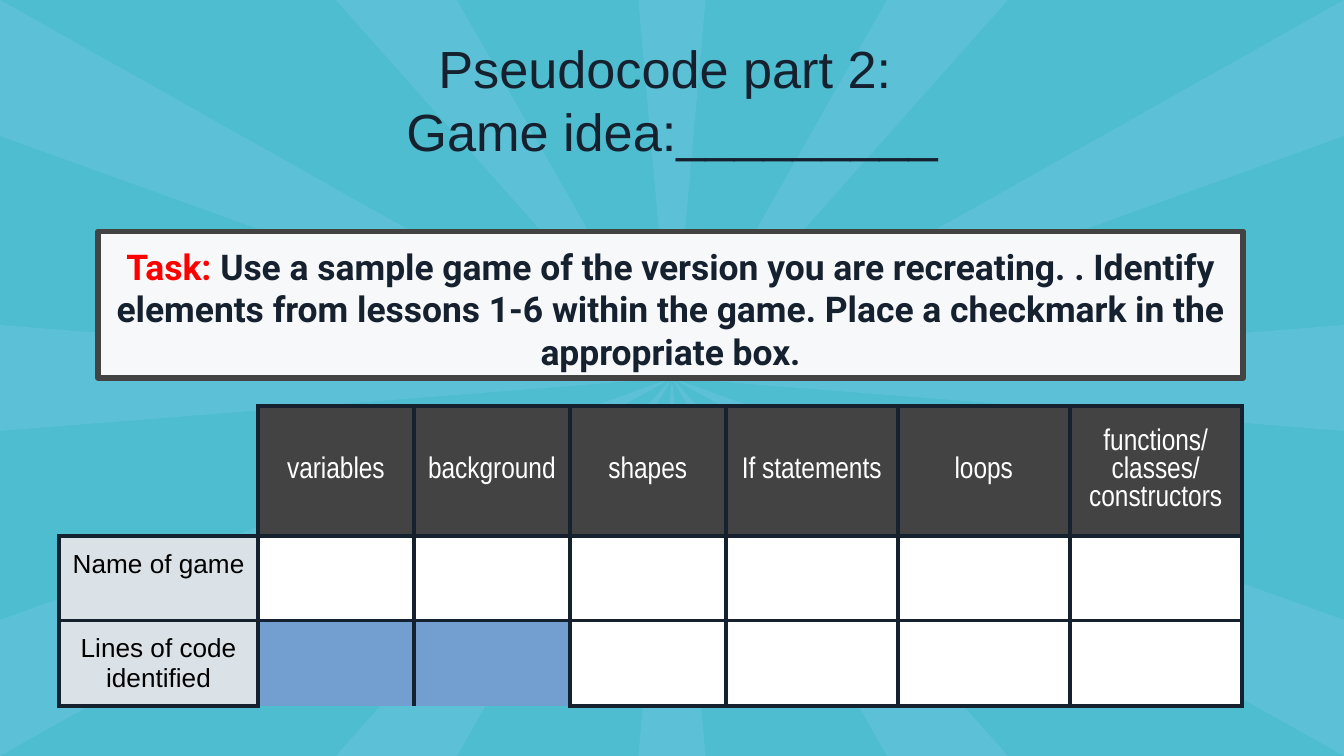
import copy
import itertools
from dataclasses import dataclass

import lxml.etree
import pptx
import pptx.dml.color
import pptx.enum.text
import pptx.oxml.ns
import pptx.util

SLIDE_WIDTH = pptx.util.Inches(10)
SLIDE_HEIGHT = SLIDE_WIDTH * 9 // 16


@dataclass(frozen=True)
class Theme:
    sky: str = "4EBDCF"
    ray: str = "5CC1D6"
    ink: str = "162130"
    paper: str = "F6F8F9"
    charcoal: str = "434343"
    label: str = "DAE2E7"
    white: str = "FFFFFF"
    black: str = "000000"
    alert: str = "FF0000"
    blocked: str = "729FCF"
    title_size: int = 28
    task_size: int = 19
    header_size: int = 16
    label_size: int = 14
    frame_width: float = 3
    rule_width: float = 2.25


THEME = Theme()
HEADINGS = ["variables", "background", "shapes", "If statements", "loops",
            "functions/\nclasses/\nconstructors"]
ROW_LABELS = ["Name of game", "Lines of code identified"]
COLUMN_SHARES = [5.5, 9.3] + [11.6] * 3 + [12.8] * 3
ROW_SHARES = [17.2, 11.2, 11.2]


def across(percent):
    return round(SLIDE_WIDTH * percent / 100)


def down(percent):
    return round(SLIDE_HEIGHT * percent / 100)


def color(value):
    return pptx.dml.color.RGBColor.from_string(value)


def paint(fill, value):
    fill.solid()
    fill.fore_color.rgb = color(value)


def apply_format(target, values):
    for name, value in values.items():
        setattr(target, name, value)


def place(target, left, top, width, height):
    apply_format(target, {"left": across(left), "top": down(top),
                          "width": across(width), "height": down(height)})


def write(paragraph, text, font, size, ink, bold=False):
    apply_format(paragraph, {
        "alignment": pptx.enum.text.PP_ALIGN.CENTER,
        "space_before": pptx.util.Pt(0),
    })
    for index, line in enumerate(text.split("\n")):
        if index:
            paragraph.add_line_break()
            line_break = paragraph.runs[-1]._r.getnext()
            line_break.insert(0, copy.deepcopy(paragraph.runs[-1].font._element))
        run = paragraph.add_run()
        run.text = line
        apply_format(run.font, {"name": font, "size": pptx.util.Pt(size), "bold": bold})
        run.font.color.rgb = color(ink)


def set_frame(frame):
    inset = pptx.util.Inches(0.1)
    apply_format(frame, {
        "margin_left": inset, "margin_right": inset,
        "margin_top": inset, "margin_bottom": inset,
        "word_wrap": True,
        "auto_size": pptx.enum.text.MSO_AUTO_SIZE.NONE,
        "vertical_anchor": pptx.enum.text.MSO_ANCHOR.TOP,
    })


def add_rays(slide):
    burst = slide.shapes.add_group_shape()
    quarter_rays = [((0.32, 1), (0.5, 1)), ((1, 1), (1, 0.64))]
    rays = [[(x * side, y * level) for x, y in ray]
            for side, level in itertools.product((-1, 1), repeat=2)
            for ray in quarter_rays]
    for direction in (-1, 1):
        rays.append([(-0.05, direction), (0.05, direction)])
        rays.append([(direction, -0.14), (direction, 0.14)])
    for ray in rays:
        builder = burst.shapes.build_freeform(across(50), down(50))
        builder.add_line_segments(
            [(across(50 + 50 * x), down(50 + 50 * y)) for x, y in ray])
        beam = builder.convert_to_shape()
        beam.shadow.inherit = False
        paint(beam.fill, THEME.ray)
        beam.line.fill.background()
    burst.element.getparent().insert(2, burst.element)


def add_title(slide):
    title = slide.shapes.title
    place(title, 13.8, 3, 72.4, 19.4)
    set_frame(title.text_frame)
    write(title.text_frame.paragraphs[0], "Pseudocode part 2: \nGame idea:_________",
          "Arial", THEME.title_size, THEME.ink)


def add_task(slide):
    task = slide.placeholders[1]
    place(task, 7.3, 30.6, 85.2, 19.4)
    set_frame(task.text_frame)
    paint(task.fill, THEME.paper)
    paint(task.line.fill, THEME.charcoal)
    task.line.width = pptx.util.Pt(THEME.frame_width)
    paragraph = task.text_frame.paragraphs[0]
    write(paragraph, "Task: ", "Roboto", THEME.task_size, THEME.alert, True)
    write(paragraph, "Use a sample game of the version you are recreating. . Identify "
          "elements from lessons 1-6 within the game. Place a checkmark in the "
          "appropriate box.", "Roboto", THEME.task_size, THEME.ink, True)


def rule_cell(cell, sides):
    qn = pptx.oxml.ns.qn
    properties = cell._tc.get_or_add_tcPr()
    for index, side in enumerate("LRTB"):
        edge = lxml.etree.Element(qn(f"a:ln{side}"))
        if side in sides:
            edge.set("w", str(pptx.util.Pt(THEME.rule_width)))
            fill = lxml.etree.SubElement(edge, qn("a:solidFill"))
            lxml.etree.SubElement(fill, qn("a:srgbClr")).set("val", THEME.ink)
        else:
            lxml.etree.SubElement(edge, qn("a:noFill"))
        properties.insert(index, edge)


def add_checklist(slide):
    checklist = slide.shapes.add_table(
        len(ROW_SHARES), len(COLUMN_SHARES), across(4.4), down(53.7),
        across(sum(COLUMN_SHARES)), down(sum(ROW_SHARES))).table
    apply_format(checklist, {"first_row": False, "horz_banding": False})
    for column, share in zip(checklist.columns, COLUMN_SHARES):
        column.width = across(share)
    for row, share in zip(checklist.rows, ROW_SHARES):
        row.height = down(share)

    last_row = len(ROW_SHARES) - 1
    for row, column in itertools.product(range(len(ROW_SHARES)), range(len(COLUMN_SHARES))):
        cell = checklist.cell(row, column)
        sides = "LRTB"
        if column < 2 and row == 0:
            cell.fill.background()
            sides = "RB"
        elif column < 2:
            paint(cell.fill, THEME.label)
        elif row == 0:
            paint(cell.fill, THEME.charcoal)
        elif (row, column) == (last_row, 2):
            paint(cell.fill, THEME.blocked)
            sides = "LRT"
        else:
            paint(cell.fill, THEME.white)
        rule_cell(cell, sides)
        inset = pptx.util.Inches(0.1)
        apply_format(cell, {"margin_left": inset, "margin_right": inset,
                            "margin_top": inset, "margin_bottom": inset})

    for row in range(len(ROW_SHARES)):
        checklist.cell(row, 0).merge(checklist.cell(row, 1))
    for column, heading in enumerate(HEADINGS, 2):
        cell = checklist.cell(0, column)
        cell.vertical_anchor = pptx.enum.text.MSO_ANCHOR.MIDDLE
        write(cell.text_frame.paragraphs[0], heading, "Arial Narrow",
              THEME.header_size, THEME.white)
    for row, label in enumerate(ROW_LABELS, 1):
        write(checklist.cell(row, 0).text_frame.paragraphs[0], label, "Arial",
              THEME.label_size, THEME.black)


def main():
    deck = pptx.Presentation()
    apply_format(deck, {"slide_width": SLIDE_WIDTH, "slide_height": SLIDE_HEIGHT})
    slide = deck.slides.add_slide(deck.slide_layouts[0])
    paint(slide.background.fill, THEME.sky)
    add_rays(slide)
    add_title(slide)
    add_checklist(slide)
    add_task(slide)
    deck.save("out.pptx")


if __name__ == "__main__":
    main()
